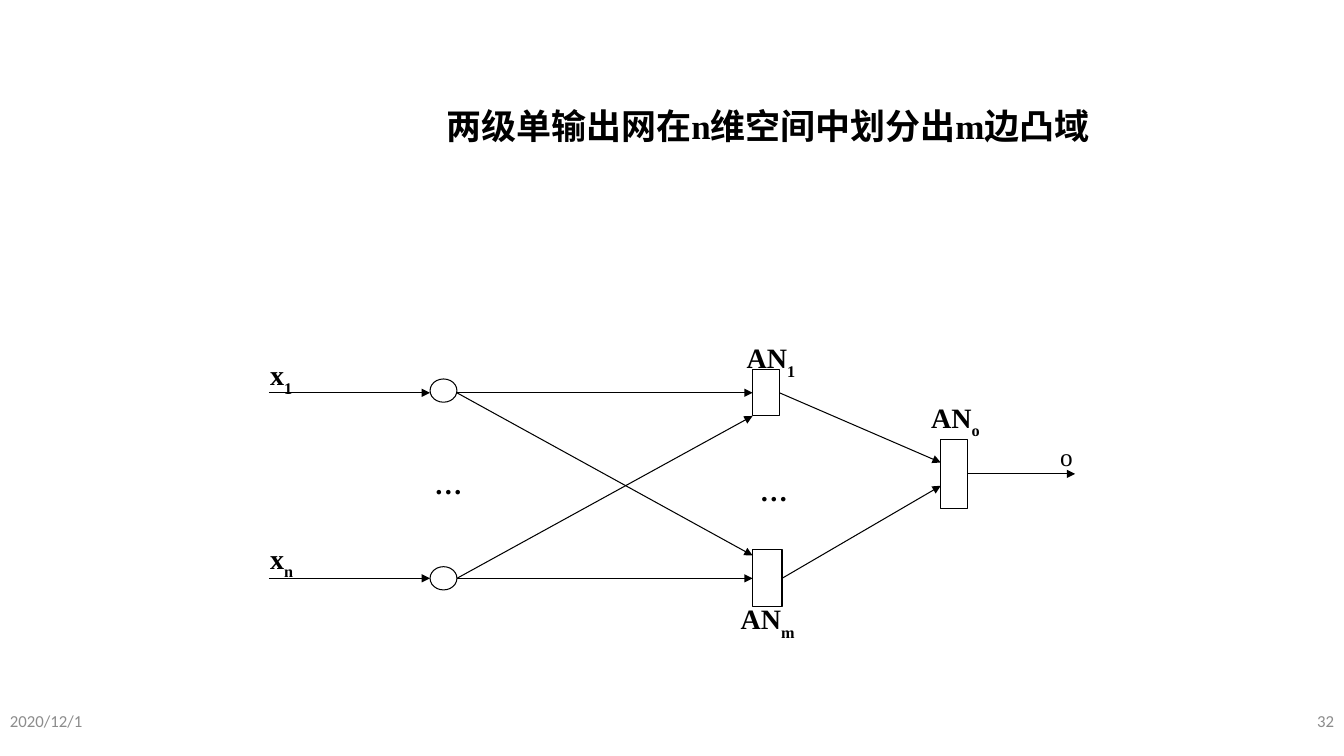
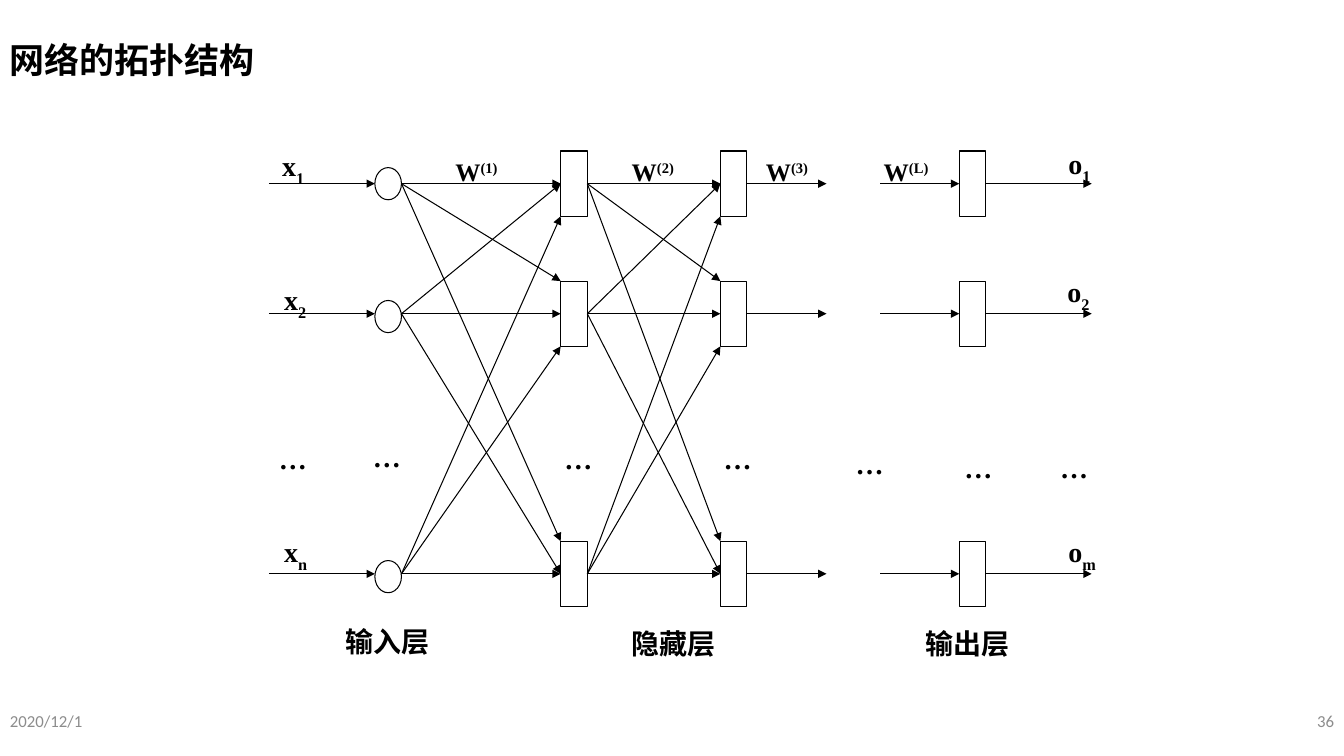
from dataclasses import dataclass
from typing import NamedTuple, Optional, Union

import lxml.etree
import pptx
import pptx.dml.color
import pptx.enum.shapes
import pptx.enum.text
import pptx.oxml.ns
import pptx.util

Pt = pptx.util.Pt
qn = pptx.oxml.ns.qn
RGB = pptx.dml.color.RGBColor
Align = pptx.enum.text.PP_ALIGN
Anchor = pptx.enum.text.MSO_ANCHOR
ShapeType = pptx.enum.shapes.MSO_SHAPE
RECTANGLE, OVAL = ShapeType.RECTANGLE, ShapeType.OVAL
LEFT_SIDE, RIGHT_SIDE = 1, 3


@dataclass(frozen=True)
class Theme:
    ink: RGB = RGB(0x00, 0x00, 0x00)
    paper: RGB = RGB(0xFF, 0xFF, 0xFF)
    muted: RGB = RGB(0x8C, 0x8C, 0x8C)
    serif: str = "Times New Roman"
    sans: str = "Calibri"
    chinese: str = "Noto Sans CJK SC"
    title_size: float = 25
    label_size: float = 20
    small_size: float = 18
    footer_size: float = 12
    line_width: float = 0.75


THEME = Theme()


class Box(NamedTuple):
    left: float
    top: float
    width: float
    height: float


class Style(NamedTuple):
    size: float
    bold: bool = True
    color: RGB = THEME.ink
    font: str = THEME.serif


class Point(NamedTuple):
    x: float
    y: float


class Port(NamedTuple):
    """The middle of a rectangle's left or right side."""
    shape: pptx.shapes.autoshape.Shape
    side: int

    @property
    def point(self) -> Point:
        shape = self.shape
        x = shape.left + (shape.width if self.side == RIGHT_SIDE else 0)
        return Point(pptx.util.Emu(x).pt, pptx.util.Emu(shape.top + shape.height // 2).pt)


class Label(NamedTuple):
    text: str
    left: float
    top: float
    width: float
    script: str = ""
    baseline: int = -30


End = Union[Point, Port]
TITLE = Style(THEME.title_size)
LABEL = Style(THEME.label_size)
WEIGHT = Style(THEME.small_size)
OUTPUT = Style(THEME.small_size, bold=False)
FOOTER = Style(THEME.footer_size, bold=False, color=THEME.muted, font=THEME.sans)
DOTS_WIDTH = 34.6
WEIGHT_WIDTH = 50


def add_text(slide, box: Box, text: str, style: Style, align=Align.LEFT,
             anchor=Anchor.MIDDLE, wrap: bool = True, script: str = "",
             baseline: int = 0) -> None:
    frame = slide.shapes.add_textbox(*map(Pt, box)).text_frame
    frame.word_wrap = wrap
    frame.vertical_anchor = anchor
    paragraph = frame.paragraphs[0]
    paragraph.text = text
    paragraph.alignment = align
    if script:
        run = paragraph.add_run()
        run.text = script
        run._r.get_or_add_rPr().set("baseline", str(baseline * 1000))
    for run in paragraph.runs:
        run.font.size = Pt(style.size)
        run.font.bold = style.bold
        run.font.color.rgb = style.color
        run.font.name = style.font
        east_asian = lxml.etree.SubElement(run._r.get_or_add_rPr(), qn("a:ea"))
        east_asian.set("typeface", THEME.chinese)


def add_label(slide, label: Label, style: Style = LABEL) -> None:
    box = Box(label.left, label.top, label.width, style.size * 1.2 + 7.2)
    add_text(slide, box, label.text, style, anchor=Anchor.TOP, wrap=False,
             script=label.script, baseline=label.baseline)


def add_node(slide, kind, box: Box):
    shape = slide.shapes.add_shape(kind, *map(Pt, box))
    shape.shadow.inherit = False
    shape.fill.solid()
    shape.fill.fore_color.rgb = THEME.paper
    shape.line.color.rgb = THEME.ink
    shape.line.width = Pt(THEME.line_width)
    return shape


def add_arrow(slide, start: End, end: End) -> None:
    """Draw an arrow, glued to a shape at each end that is a Port."""
    points = [e.point if isinstance(e, Port) else e for e in (start, end)]
    connector = slide.shapes.add_connector(
        pptx.enum.shapes.MSO_CONNECTOR.STRAIGHT,
        *(Pt(value) for point in points for value in point))
    if isinstance(start, Port):
        connector.begin_connect(start.shape, start.side)
    if isinstance(end, Port):
        connector.end_connect(end.shape, end.side)
    connector.line.color.rgb = THEME.ink
    connector.line.width = Pt(THEME.line_width)
    properties = connector._element.spPr
    line = properties.find(qn("a:ln"))
    lxml.etree.SubElement(line, qn("a:tailEnd")).set("type", "triangle")
    lxml.etree.SubElement(properties, qn("a:effectLst"))


def add_slide(presentation, title: str, title_box: Box, number: int):
    slide = presentation.slides.add_slide(presentation.slide_layouts[6])
    add_text(slide, Box(0, 500.4, 216, 28.8), "2020/12/1", FOOTER)
    add_text(slide, Box(744, 500.4, 216, 28.8), str(number), FOOTER, align=Align.RIGHT)
    add_text(slide, title_box, title, TITLE)
    return slide


def build_two_level_slide(presentation) -> None:
    slide = add_slide(presentation, "两级单输出网在n维空间中划分出m边凸域",
                      Box(312, 37.4, 648, 104.4), 32)
    input_left, node_width = 307.2, 19.2
    row_first, row_last = 280.6, 413.1
    for top in (270.7, 404.8):
        add_node(slide, OVAL, Box(input_left, top, node_width, 16.6))
    first = add_node(slide, RECTANGLE, Box(537.6, 264.1, node_width, 33))
    last = add_node(slide, RECTANGLE, Box(537.6, 392.8, 21, 40.6))
    output = add_node(slide, RECTANGLE, Box(672, 313.8, node_width, 49.4))

    crossing = {row_first: Point(537.6, 396.8), row_last: Point(537.6, 297.1)}
    entry = {row_first: Point(672, 330.4), row_last: Point(672, 347)}
    for y, hidden in ((row_first, first), (row_last, last)):
        source = Point(input_left + node_width, y)
        add_arrow(slide, Point(192, y), Point(input_left, y))
        add_arrow(slide, source, Port(hidden, LEFT_SIDE))
        add_arrow(slide, source, crossing[y])
        add_arrow(slide, Port(hidden, RIGHT_SIDE), entry[y])
    add_arrow(slide, Port(output, RIGHT_SIDE), Point(768, 338.5))

    for label in (
        Label("x", 185.8, 252, 32.4, "1"),
        Label("x", 185.8, 383, 32.4, "n"),
        Label("AN", 526.3, 239.8, 50.4, "1"),
        Label("AN", 522, 426.2, 54.7, "m"),
        Label("AN", 658.1, 282.2, 50.4, "o"),
        Label("…", 303.2, 329.8, DOTS_WIDTH),
        Label("…", 535.7, 334.8, DOTS_WIDTH),
    ):
        add_label(slide, label)
    add_label(slide, Label("o", 750.2, 311.8, 24), OUTPUT)


def build_topology_slide(presentation) -> None:
    slide = add_slide(presentation, "网络的拓扑结构", Box(0, 15.1, 864, 54.7), 36)
    node_width, node_height, oval_height = 19, 46.6, 23
    input_left = 267.8
    rows = [131.2 + 92.9 * step for step in (0, 1, 3)]
    oval_shifts = (0, 2, 2)

    for y, shift in zip(rows, oval_shifts):
        add_node(slide, OVAL, Box(input_left, y + shift - oval_height / 2,
                                  node_width, oval_height))
    hidden_one, hidden_two, outputs = (
        [add_node(slide, RECTANGLE, Box(left, y - node_height / 2, node_width, node_height))
         for y in rows]
        for left in (400.5, 514.6, 685.2))

    def connect_layers(sources: list[End], targets: list) -> None:
        """Link all pairs; slanted arrows from the outer rows end at the near corner."""
        for i, source in enumerate(sources):
            for j, target in enumerate(targets):
                port = Port(target, LEFT_SIDE)
                corner: Optional[Point] = None
                if i != 1 and i != j:
                    direction = -1 if i < j else 1
                    x, y = port.point
                    corner = Point(x, y + direction * node_height / 2)
                add_arrow(slide, source, corner or port)

    connect_layers([Point(input_left + node_width, y) for y in rows], hidden_one)
    connect_layers([Port(shape, RIGHT_SIDE) for shape in hidden_one], hidden_two)
    for y, hidden, output in zip(rows, hidden_two, outputs):
        add_arrow(slide, Point(192, y), Point(input_left, y))
        add_arrow(slide, Port(hidden, RIGHT_SIDE), Point(590.4, y))
        add_arrow(slide, Point(628.6, y), Port(output, LEFT_SIDE))
        add_arrow(slide, Port(output, RIGHT_SIDE), Point(779.8, y))

    for label in (
        Label("x", 194.4, 102.2, 32.4, "1"),
        Label("x", 195.8, 198, 32.4, "2"),
        Label("x", 195.8, 378, 32.4, "n"),
        Label("o", 756, 100.8, 32.4, "1"),
        Label("o", 755.3, 192.2, 32.4, "2"),
        Label("o", 756, 378, 36, "m"),
        Label("输入层", 239.8, 442.8, 74.9),
        Label("隐藏层", 444.2, 444.2, 74.9),
        Label("输出层", 653.8, 444.2, 74.9),
    ):
        add_label(slide, label)
    for left, top in ((192.2, 311.8), (259.2, 310.3), (396, 311.8), (509.8, 311.8),
                      (604.1, 315.4), (681.8, 318.2), (750.2, 318.2)):
        add_label(slide, Label("…", left, top, DOTS_WIDTH))
    for layer, left in (("1", 318.2), ("2", 444.2), ("3", 540), ("L", 624.2)):
        add_label(slide, Label("W", left, 108, WEIGHT_WIDTH, f"({layer})", 30), WEIGHT)


def main() -> None:
    presentation = pptx.Presentation()
    presentation.slide_width, presentation.slide_height = Pt(960), Pt(540)
    build_two_level_slide(presentation)
    build_topology_slide(presentation)
    presentation.save("out.pptx")


if __name__ == "__main__":
    main()
